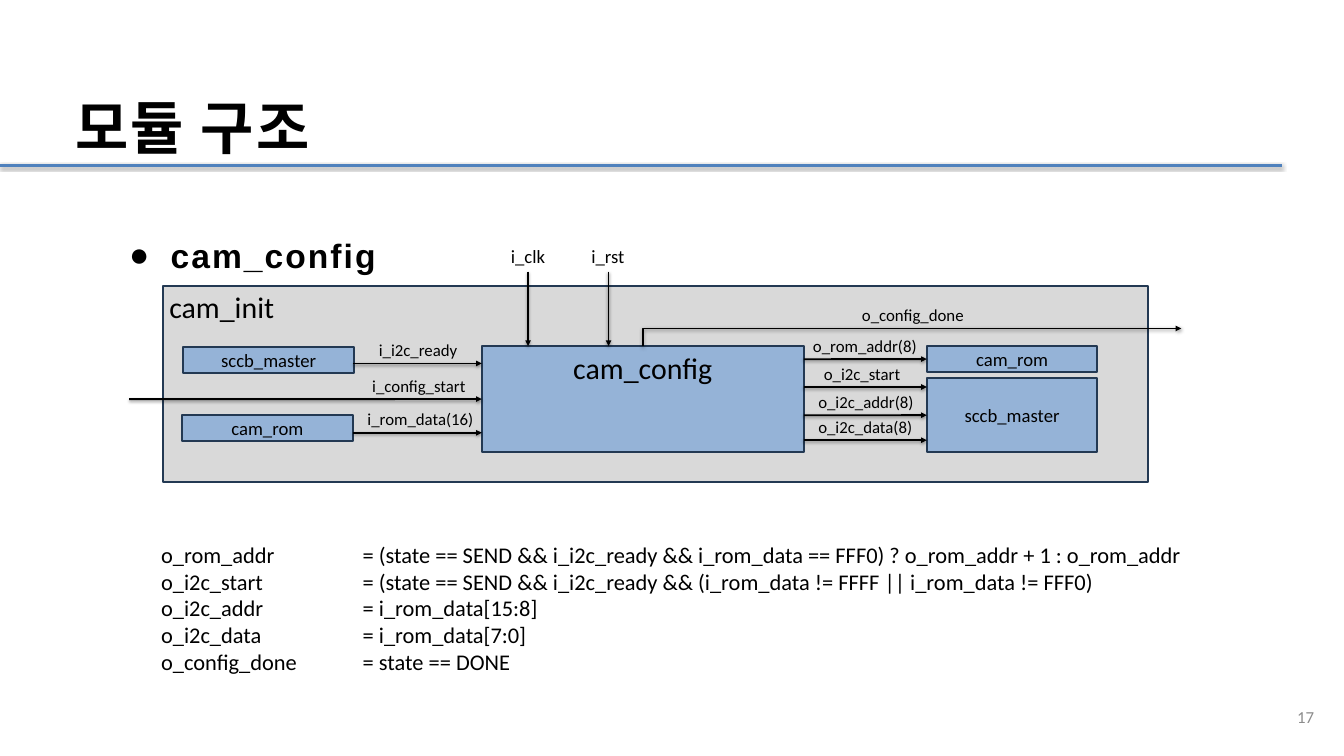
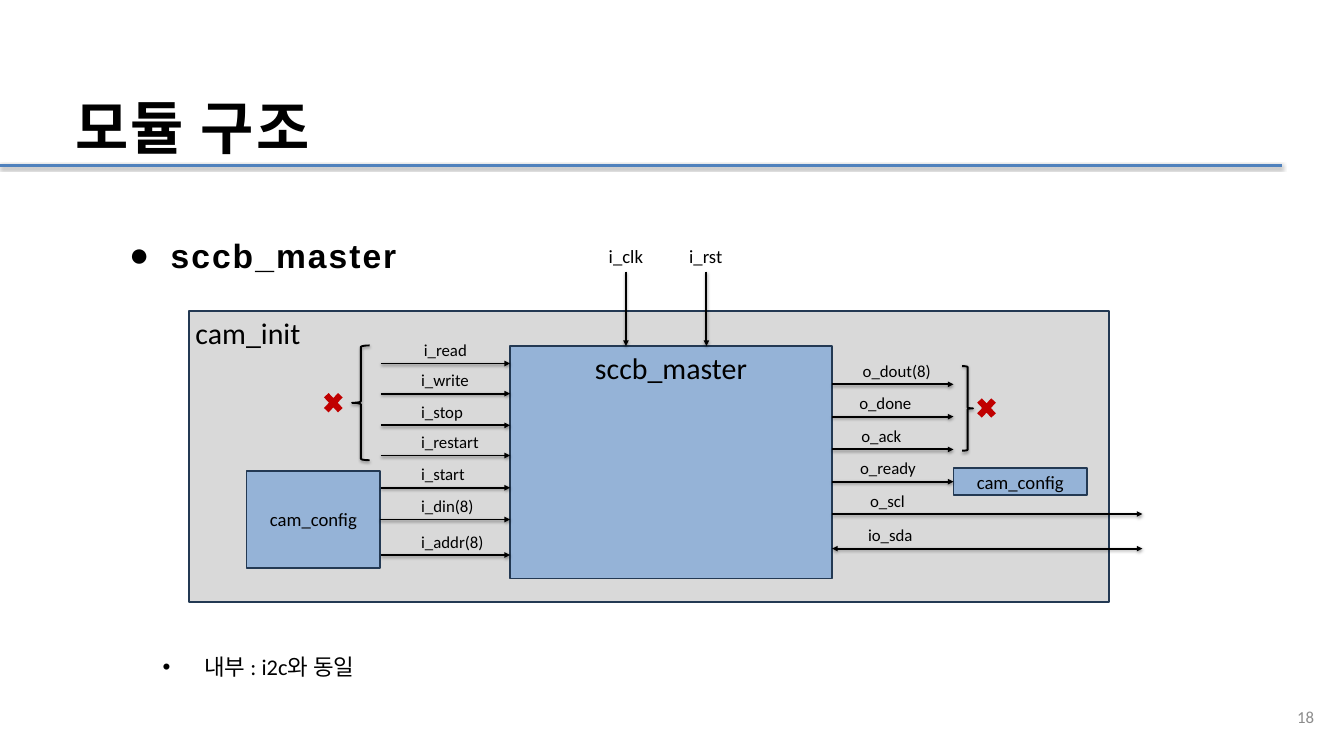
"""Builds two slides of camera module block diagrams."""
from copy import deepcopy
from dataclasses import dataclass

from lxml.etree import SubElement
from pptx import Presentation
from pptx.dml.color import RGBColor
from pptx.enum.shapes import MSO_CONNECTOR, MSO_SHAPE, PP_PLACEHOLDER
from pptx.enum.text import MSO_ANCHOR, MSO_AUTO_SIZE, PP_ALIGN
from pptx.oxml.ns import qn
from pptx.util import Cm, Pt


@dataclass(frozen=True)
class Theme:
    head_font: str = "Arial"
    body_font: str = "Calibri"
    ink: str = "000000"
    rule: str = "4F81BD"
    frame: str = "D9D9D9"
    block: str = "95B3D7"
    border: str = "233953"
    cross: str = "C00000"
    muted: str = "8C8C8C"
    title: int = 62
    heading: int = 36
    name: int = 32
    note: int = 24
    pin: int = 20
    label: int = 18
    leading: float = 86.9
    spacing: int = 220
    stroke: int = 2


def apply(obj, **values):
    for key, value in values.items():
        setattr(obj, key, value)


def node(parent, tag, **attrs):
    return SubElement(parent, qn(tag), {k: str(v) for k, v in attrs.items()})


class Deck:
    def __init__(self, theme, first_number):
        self.t = theme
        self.prs = Presentation()
        apply(self.prs, slide_width=Cm(50.8), slide_height=Cm(28.58))
        self.prs.element.set("firstSlideNum", str(first_number))
        self.s = None

    def place(self, sp, x, y, w, h):
        apply(sp, left=Cm(x), top=Cm(y), width=Cm(w), height=Cm(h))

    def font(self, font, size, color=None, name=None, bold=False):
        apply(font, size=Pt(size), name=name or self.t.body_font, bold=bold)
        font.color.rgb = RGBColor.from_string(color or self.t.ink)

    def shadow(self, sp, alpha=38, dist=20000):
        effects = node(sp.element.spPr, "a:effectLst")
        shade = node(effects, "a:outerShdw", blurRad=40000, dist=dist,
                     dir=5400000, rotWithShape=0)
        color = node(shade, "a:srgbClr", val=self.t.ink)
        node(color, "a:alpha", val=alpha * 1000)

    def stroke(self, line, color=None, width=None):
        line.color.rgb = RGBColor.from_string(color or self.t.ink)
        line.width = Pt(width or self.t.stroke)

    def head_text(self, p, text, size):
        apply(p, line_spacing=Pt(self.t.leading), space_before=Pt(0),
              alignment=PP_ALIGN.LEFT)
        r = p.add_run()
        r.text = text
        self.font(r.font, size, name=self.t.head_font, bold=True)
        r.font._element.set("spc", str(self.t.spacing))

    def bullet(self, p, char, margin):
        pPr = p._p.get_or_add_pPr()
        pPr.set("marL", str(Cm(margin)))
        pPr.set("indent", str(Cm(-1.57)))
        node(pPr, "a:buFont", typeface=self.t.head_font)
        node(pPr, "a:buChar", char=char)

    def holder(self, sp, *box):
        self.place(sp, *box)
        tf = sp.text_frame
        apply(tf, margin_left=0, margin_right=0, margin_top=0, margin_bottom=0,
              vertical_anchor=MSO_ANCHOR.TOP, auto_size=MSO_AUTO_SIZE.NONE)
        return tf

    def slide(self, title, heading, note=None):
        layout = self.prs.slide_layouts[1]
        self.s = self.prs.slides.add_slide(layout)
        tf = self.holder(self.s.shapes.title, 2.84, 3.02, 30.58, 2.84)
        self.head_text(tf.paragraphs[0], title, self.t.title)
        tf = self.holder(self.s.placeholders[1], 4.88, 7.32, 45.92,
                         21.2 if note else 2.62)
        p = tf.paragraphs[0]
        self.head_text(p, heading, self.t.heading)
        self.bullet(p, "●", 1.57)
        if note:
            p = tf.add_paragraph()
            apply(p, level=1, line_spacing=Pt(self.t.leading),
                  space_before=Pt(4 * self.t.leading))
            self.bullet(p, "•", 2.84)
            r = p.add_run()
            r.text = note
            self.font(r.font, self.t.note)
        self.line(0, 6.25, 48.46, 6.25, self.t.rule, 3, tail=False)
        self.number(layout)

    def number(self, layout):
        for ph in layout.placeholders:
            if ph.placeholder_format.type == PP_PLACEHOLDER.SLIDE_NUMBER:
                self.s.shapes._spTree.append(deepcopy(ph._element))
        sp = self.s.shapes[-1]
        self.place(sp, 43.38, 26.37, 6.55, 1.45)
        tf = sp.text_frame
        tf.vertical_anchor = MSO_ANCHOR.MIDDLE
        p = tf.paragraphs[0]
        for child in list(p._p):
            p._p.remove(child)
        p.alignment = PP_ALIGN.RIGHT
        r = p.add_run()
        self.font(r.font, self.t.label, self.t.muted)
        number = self.prs.slides.index(self.s) + int(
            self.prs.element.get("firstSlideNum"))
        field = node(p._p, "a:fld", type="slidenum",
                     id="{B6F15528-21DE-4FAA-801E-634DDDAF4B2B}")
        field.append(r.font._element)
        node(field, "a:t").text = str(number)
        p._p.remove(r._r)

    def box(self, text, x, y, w, h, size=None, fill=None,
            align=PP_ALIGN.CENTER, anchor=MSO_ANCHOR.MIDDLE):
        sp = self.preset(MSO_SHAPE.RECTANGLE, x, y, w, h, fill or self.t.block)
        self.stroke(sp.line, self.t.border)
        tf = sp.text_frame
        apply(tf, word_wrap=True, vertical_anchor=anchor)
        p = tf.paragraphs[0]
        p.alignment = align
        r = p.add_run()
        r.text = text
        self.font(r.font, size or self.t.pin)
        return sp

    def frame(self, text, *area):
        return self.box(text, *area, self.t.name, self.t.frame,
                        PP_ALIGN.LEFT, MSO_ANCHOR.TOP)

    def module(self, text, *area):
        return self.box(text, *area, self.t.name, anchor=MSO_ANCHOR.TOP)

    def preset(self, kind, x, y, w, h, fill=None):
        sp = self.s.shapes.add_shape(kind, Cm(x), Cm(y), Cm(w), Cm(h))
        sp.shadow.inherit = False
        if fill:
            sp.fill.solid()
            sp.fill.fore_color.rgb = RGBColor.from_string(fill)
            sp.line.fill.background()
        else:
            sp.fill.background()
        return sp

    def brace(self, kind, *area):
        sp = self.preset(kind, *area)
        self.stroke(sp.line)
        sp.shadow.inherit = True
        self.shadow(sp)

    def cross(self, x, y):
        self.preset(MSO_SHAPE.MATH_MULTIPLY, x, y, 1.02, 1.09, self.t.cross)

    def text(self, lines, x, y, w, h, size, tab=None):
        sp = self.s.shapes.add_textbox(Cm(x), Cm(y), Cm(w), Cm(h))
        tf = sp.text_frame
        apply(tf, word_wrap=False, auto_size=MSO_AUTO_SIZE.SHAPE_TO_FIT_TEXT)
        for i, line in enumerate(lines):
            p = tf.add_paragraph() if i else tf.paragraphs[0]
            r = p.add_run()
            r.text = line
            self.font(r.font, size)
            if tab:
                tabs = node(p._p.get_or_add_pPr(), "a:tabLst")
                node(tabs, "a:tab", pos=Cm(tab), algn="l")

    def line(self, x1, y1, x2, y2, color=None, width=None, head=False,
             tail=True, kind=MSO_CONNECTOR.STRAIGHT):
        c = self.s.shapes.add_connector(kind, Cm(x1), Cm(y1), Cm(x2), Cm(y2))
        self.stroke(c.line, color, width)
        ln = c.line._get_or_add_ln()
        for tag, wanted in (("a:headEnd", head), ("a:tailEnd", tail)):
            if wanted:
                node(ln, tag, type="triangle")
        if color == self.t.rule:
            self.shadow(c, 35, 23000)
        else:
            self.shadow(c)
        return c

    def corner(self, start, x1, y1, x2, y2):
        c = self.line(x1, y1, x2, y2, kind=MSO_CONNECTOR.ELBOW)
        c.begin_connect(start, 0)
        w, h = y1 - y2, x2 - x1
        xfrm = c._element.spPr.find(qn("a:xfrm"))
        for key, value in dict(rot=5400000, flipH=1, flipV=1).items():
            xfrm.set(key, str(value))
        self.place(c, (x1 + x2 - w) / 2, (y1 + y2 - h) / 2, w, h)
        c._element.spPr.find(qn("a:prstGeom")).set("prst", "bentConnector2")

    def label(self, text, x, y, w):
        self.text([text], x, y - 1.02, w, 1.02, self.t.label)

    def signal(self, text, x1, x2, y, label_x, label_w, begin=None, end=None,
               head=False):
        c = self.line(x1, y, x2, y, head=head)
        if begin:
            c.begin_connect(begin, 3)
        if end:
            c.end_connect(end, 1)
        self.label(text, label_x, y, label_w)

    def clocks(self, x):
        for i, name in enumerate(("i_clk", "i_rst")):
            pin = x + i * 3.04
            self.line(pin, 10.27, pin, 13.08)
            self.text([name], pin - 0.9, 9.14, 1.83, 1.12, self.t.pin)


def config_slide(d):
    d.slide("모듈 구조", "cam_config")
    d.frame("cam_init", 6.15, 10.8, 37.26, 7.44)
    main = d.module("cam_config", 18.21, 13.08, 12.17, 4.01)
    d.box("sccb_master", 6.93, 13.11, 6.45, 0.99)
    d.box("cam_rom", 6.88, 15.7, 6.45, 0.99)
    rom = d.box("cam_rom", 35.03, 13.08, 6.45, 0.99)
    master = d.box("sccb_master", 35.03, 14.3, 6.45, 2.79)
    d.clocks(19.96)
    for text, x, y, label_x, w, end in (
            ("i_i2c_ready", 13.34, 13.74, 14.07, 3.51, None),
            ("i_config_start", 4.88, 15.09, 13.82, 4.09, main),
            ("i_rom_data(16)", 13.34, 16.36, 13.64, 4.55, None)):
        d.signal(text, x, 18.21, y, label_x, w, end=end)
    for text, y, label_x, w, end in (
            ("o_rom_addr(8)", 13.58, 30.48, 4.47, rom),
            ("o_i2c_start", 14.63, 30.89, 3.43, None),
            ("o_i2c_addr(8)", 15.7, 30.68, 4.17, master),
            ("o_i2c_data(8)", 16.64, 30.68, 4.11, None)):
        d.signal(text, 30.38, 35.03, y, label_x, w, end=end)
    d.corner(main, 24.3, 13.08, 44.65, 12.42)
    d.label("o_config_done", 32.33, 12.42, 4.42)
    d.text(("o_rom_addr\t= (state == SEND && i_i2c_ready && i_rom_data == FFF0)"
            " ? o_rom_addr + 1 : o_rom_addr",
            "o_i2c_start\t= (state == SEND && i_i2c_ready && "
            "(i_rom_data != FFFF || i_rom_data != FFF0)",
            "o_i2c_addr\t= i_rom_data[15:8]",
            "o_i2c_data\t= i_rom_data[7:0]",
            "o_config_done\t= state == DONE"),
           5.84, 20.32, 39.12, 6.4, d.t.note, tab=7.62)


def master_slide(d):
    d.slide("모듈 구조", "sccb_master", "내부 : i2c와 동일")
    d.frame("cam_init", 7.14, 11.76, 34.77, 11)
    d.module("sccb_master", 19.28, 13.08, 12.17, 8.79)
    source = d.box("cam_config", 9.32, 17.81, 5.05, 3.66)
    target = d.box("cam_config", 36.04, 17.7, 5.05, 1.02)
    d.clocks(23.66)
    for text, y, label_x, w, begin in (
            ("i_read", 13.74, 15.77, 2.16, None),
            ("i_write", 14.88, 15.67, 2.34, None),
            ("i_stop", 16.08, 15.67, 2.11, None),
            ("i_restart", 17.22, 15.67, 2.72, None),
            ("i_start", 18.44, 15.67, 2.18, None),
            ("i_din(8)", 19.64, 15.67, 2.51, source),
            ("i_addr(8)", 20.98, 15.67, 2.9, None)):
        d.signal(text, 14.4, 19.28, y, label_x, w, begin=begin)
    for text, x2, y, label_x, w, end in (
            ("o_dout(8)", 36.04, 14.53, 32.36, 3.12, None),
            ("o_done", 36.04, 15.75, 32.23, 2.51, None),
            ("o_ack", 36.04, 16.99, 32.31, 2.03, None),
            ("o_ready", 36.04, 18.21, 32.26, 2.64, target),
            ("o_scl", 43.18, 19.43, 32.64, 1.83, None),
            ("io_sda", 43.18, 20.74, 32.56, 2.21, None)):
        d.signal(text, 31.45, x2, y, label_x, w, end=end,
                 head=text == "io_sda")
    d.brace(MSO_SHAPE.LEFT_BRACE, 13.31, 13.06, 0.66, 4.34)
    d.brace(MSO_SHAPE.RIGHT_BRACE, 36.37, 13.84, 0.41, 3.2)
    d.cross(12.09, 14.68)
    d.cross(36.78, 14.88)


def main():
    d = Deck(Theme(), 17)
    config_slide(d)
    master_slide(d)
    d.prs.save("out.pptx")


if __name__ == "__main__":
    main()
